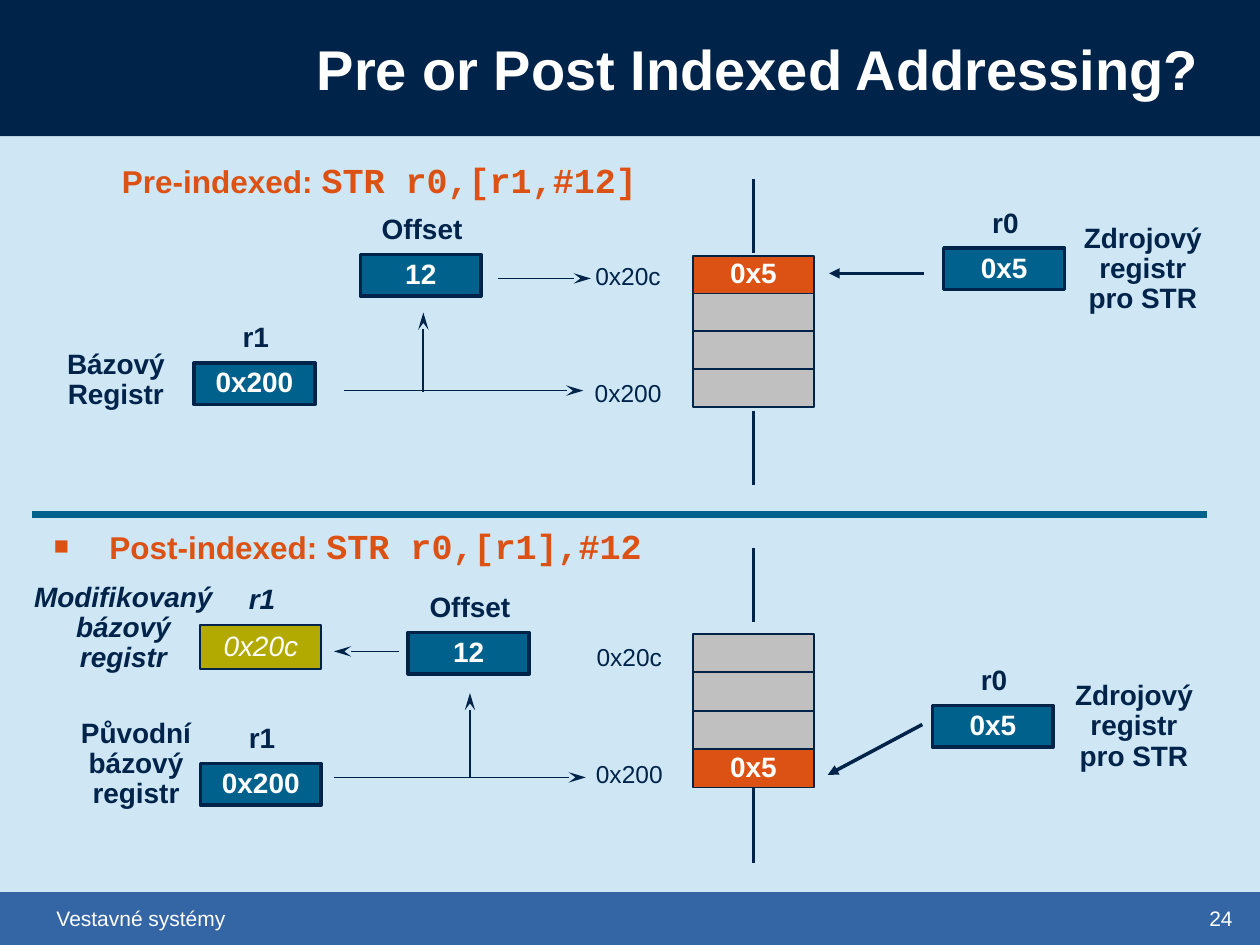
from lxml import etree
from pptx import Presentation
from pptx import util as u
from pptx.dml.color import RGBColor
from pptx.enum import shapes, text
from pptx.oxml import ns

COLORS = {
    "sky": "CFE7F5", "navy": "00234A", "footer": "3465A4", "teal": "00618C",
    "orange": "DB5214", "gray": "C0C0C0", "olive": "B2AA00", "white": "FFFFFF",
}
ALIGN = text.PP_ALIGN
MIDDLE = text.MSO_ANCHOR.MIDDLE
ROW = 0.3
CELL_WIDTH = 0.96


def color(name):
    return RGBColor.from_string(COLORS[name])


def inches(*lengths):
    return [u.Inches(length) for length in lengths]


def add_span(para, words, size, ink, bold=False, italic=False, font="Arial"):
    span = para.add_run()
    span.text = words
    span.font.size, span.font.name = u.Pt(size), font
    span.font.bold, span.font.italic = bold, italic
    span.font.color.rgb = color(ink)


def set_frame(frame, align, anchor=text.MSO_ANCHOR.TOP, spacing=0.9):
    frame.word_wrap = True
    frame.vertical_anchor = anchor
    para = frame.paragraphs[0]
    para.alignment, para.line_spacing = align, spacing
    return para


def add_label(page, box, lines, size=16, bold=True, italic=False):
    frame = page.shapes.add_textbox(*inches(*box)).text_frame
    para = set_frame(frame, ALIGN.CENTER)
    for index, line in enumerate(lines.split("\n")):
        if index:
            para.add_line_break()
        add_span(para, line, size, "navy", bold, italic)


def add_rect(page, box, fill, line_width=0):
    rect = page.shapes.add_shape(shapes.MSO_SHAPE.RECTANGLE, *inches(*box))
    rect.shadow.inherit = False
    rect.fill.solid()
    rect.fill.fore_color.rgb = color(fill)
    if line_width:
        rect.line.color.rgb = color("navy")
        rect.line.width = u.Pt(line_width)
    else:
        rect.line.fill.background()
    return rect


def add_line(page, start, end, width=1, ink="navy", head=None):
    line = page.shapes.add_connector(
        shapes.MSO_CONNECTOR.STRAIGHT, *inches(*start, *end))
    line.line.color.rgb = color(ink)
    line.line.width = u.Pt(width)
    if head:
        length = "lg" if head == "stealth" else "med"
        etree.SubElement(line.line._get_or_add_ln(), ns.qn("a:tailEnd"),
                         type=head, w="med", len=length)
    etree.SubElement(line._element.spPr, ns.qn("a:effectLst"))
    return line


def add_register(page, left, top, name, value, fill="teal", old=True):
    """A named register; a freshly modified one is set in italics."""
    box = (left, top, 0.96, 0.33 if old else 0.35)
    rect = add_rect(page, box, fill, 2 if old else 1)
    para = set_frame(rect.text_frame, ALIGN.CENTER, MIDDLE)
    add_span(para, value, 16, "white", old, not old)
    add_label(page, (left - 0.09, top - 0.36, 1.16, 0.34), name, italic=not old)


def add_memory(page, left, top, value, value_row, row_height):
    """Four stacked cells, one of which holds the stored value."""
    for row in range(4):
        stored = row == value_row
        cell = add_rect(page, (left, top + row * row_height, CELL_WIDTH, row_height),
                        "orange" if stored else "gray", 1)
        if stored:
            para = set_frame(cell.text_frame, ALIGN.CENTER, MIDDLE)
            add_span(para, value, 16, "white", True)
    return cell


def add_heading(page, box, label, code, bullet=False):
    frame = page.shapes.add_textbox(*inches(*box)).text_frame
    para = set_frame(frame, ALIGN.LEFT)
    if bullet:
        props = para._p.get_or_add_pPr()
        props.set("marL", str(u.Inches(0.44)))
        props.set("indent", str(u.Inches(-0.44)))
        ink = etree.SubElement(props, ns.qn("a:buClr"))
        etree.SubElement(ink, ns.qn("a:srgbClr"), val=COLORS["orange"])
        etree.SubElement(props, ns.qn("a:buSzPct"), val="80000")
        etree.SubElement(props, ns.qn("a:buFont"), typeface="Arial")
        etree.SubElement(props, ns.qn("a:buChar"), char="■")
    add_span(para, label + " ", 18, "orange", True)
    add_span(para, code, 20, "orange", True, font="Courier New")


def add_addresses(page, x, y):
    for words, drop in (("0x20c", 0), ("0x200", 0.93)):
        add_label(page, (x, y + drop, 0.97, 0.31), words, 14, False)


def add_pre_indexed(page, x, y):
    add_heading(page, (x + 0.87, y + 0.17, 4.6, 0.43),
                "Pre-indexed:", "STR r0,[r1,#12]")
    # Memory column
    add_memory(page, x + 5.5, y + 0.95, "0x5", 0, ROW)
    for top in (0.34, 2.18):
        add_line(page, (x + 5.98, y + top), (x + 5.98, y + top + 0.59), 2)
    add_addresses(page, x + 4.5, y + 0.97)
    # Registers
    add_register(page, x + 2.86, y + 0.94, "Offset", "12")
    add_register(page, x + 1.54, y + 1.8, "r1", "0x200")
    add_register(page, x + 7.49, y + 0.89, "r0", "0x5")
    add_label(page, (x + 0.34, y + 1.65, 1.16, 0.58), "Bázový\nRegistr")
    add_label(page, (x + 8.49, y + 0.65, 1.16, 0.82), "Zdrojový\nregistr\npro STR")
    # Data flow
    add_line(page, (x + 2.73, y + 2.02), (x + 4.63, y + 2.02), head="stealth")
    add_line(page, (x + 3.36, y + 2.03), (x + 3.36, y + 1.4), head="stealth")
    add_line(page, (x + 3.95, y + 1.13), (x + 4.69, y + 1.13), head="stealth")
    add_line(page, (x + 7.33, y + 1.09), (x + 6.58, y + 1.09), 2, head="triangle")


def add_post_indexed(page, x, y):
    add_heading(page, (x + 0.33, y + 0.07, 5, 0.43),
                "Post-indexed:", "STR r0,[r1],#12", bullet=True)
    # Memory column
    last_cell = add_memory(page, x + 5.5, y + 0.95, "0x5", 3, 0.305)
    add_line(page, (x + 5.98, y + 0.27), (x + 5.98, y + 0.86), 2)
    stem = add_line(page, (x + 5.98, y + 2.17), (x + 5.98, y + 2.77), 2)
    stem.begin_connect(last_cell, 2)
    add_addresses(page, x + 4.51, y + 0.99)
    # Registers
    add_register(page, x + 3.24, y + 0.94, "Offset", "12")
    add_register(page, x + 1.59, y + 0.88, "r1", "0x20c", "olive", old=False)
    add_register(page, x + 1.59, y + 1.98, "r1", "0x200")
    add_register(page, x + 7.4, y + 1.52, "r0", "0x5")
    add_label(page, (x + 0.16, y + 0.5, 1.64, 0.82),
              "Modifikovaný\nbázový\nregistr", italic=True)
    add_label(page, (x + 0.5, y + 1.58, 1.16, 0.82), "Původní\nbázový\nregistr")
    add_label(page, (x + 8.42, y + 1.28, 1.16, 0.82), "Zdrojový\nregistr\npro STR")
    # Data flow
    add_line(page, (x + 2.65, y + 2.09), (x + 4.65, y + 2.09), head="stealth")
    add_line(page, (x + 3.73, y + 2.09), (x + 3.73, y + 1.42), head="stealth")
    add_line(page, (x + 3.17, y + 1.09), (x + 2.65, y + 1.09), head="stealth")
    add_line(page, (x + 7.32, y + 1.67), (x + 6.57, y + 2.07), 2, head="triangle")


def add_header(page, box):
    left, top, width, height = box
    band = add_rect(page, box, "navy")
    title = page.shapes.title
    band._element.addnext(title._element)
    title.left, title.top, title.width, title.height = inches(
        left + 2.17, top, width - 2.55, height)
    para = set_frame(title.text_frame, ALIGN.RIGHT, MIDDLE, 1)
    add_span(para, "Pre or Post Indexed Addressing?", 32, "white", True)


def add_footer(page, box):
    left, top, width, height = box
    add_rect(page, box, "footer")
    for x, span_width, words in ((0.35, 8.33, "Vestavné systémy"), (9.5, 0.5, "24")):
        frame = page.shapes.add_textbox(
            *inches(left + x, top + 0.06, span_width, 0.3)).text_frame
        add_span(set_frame(frame, ALIGN.LEFT, MIDDLE, 1), words, 12, "white")


def main():
    deck = Presentation()
    deck.slide_width, deck.slide_height = inches(10, 7.5)
    page = deck.slides.add_slide(deck.slide_layouts[5])
    page.background.fill.solid()
    page.background.fill.fore_color.rgb = color("sky")
    add_header(page, (0, 0, 10, 1.08))
    add_footer(page, (0, 7.08, 10, 0.42))
    add_pre_indexed(page, 0, 1.08)
    add_line(page, (0.25, 4.08), (9.58, 4.08), 4, "teal")
    add_post_indexed(page, 0, 4.08)
    deck.save("out.pptx")


if __name__ == "__main__":
    main()
